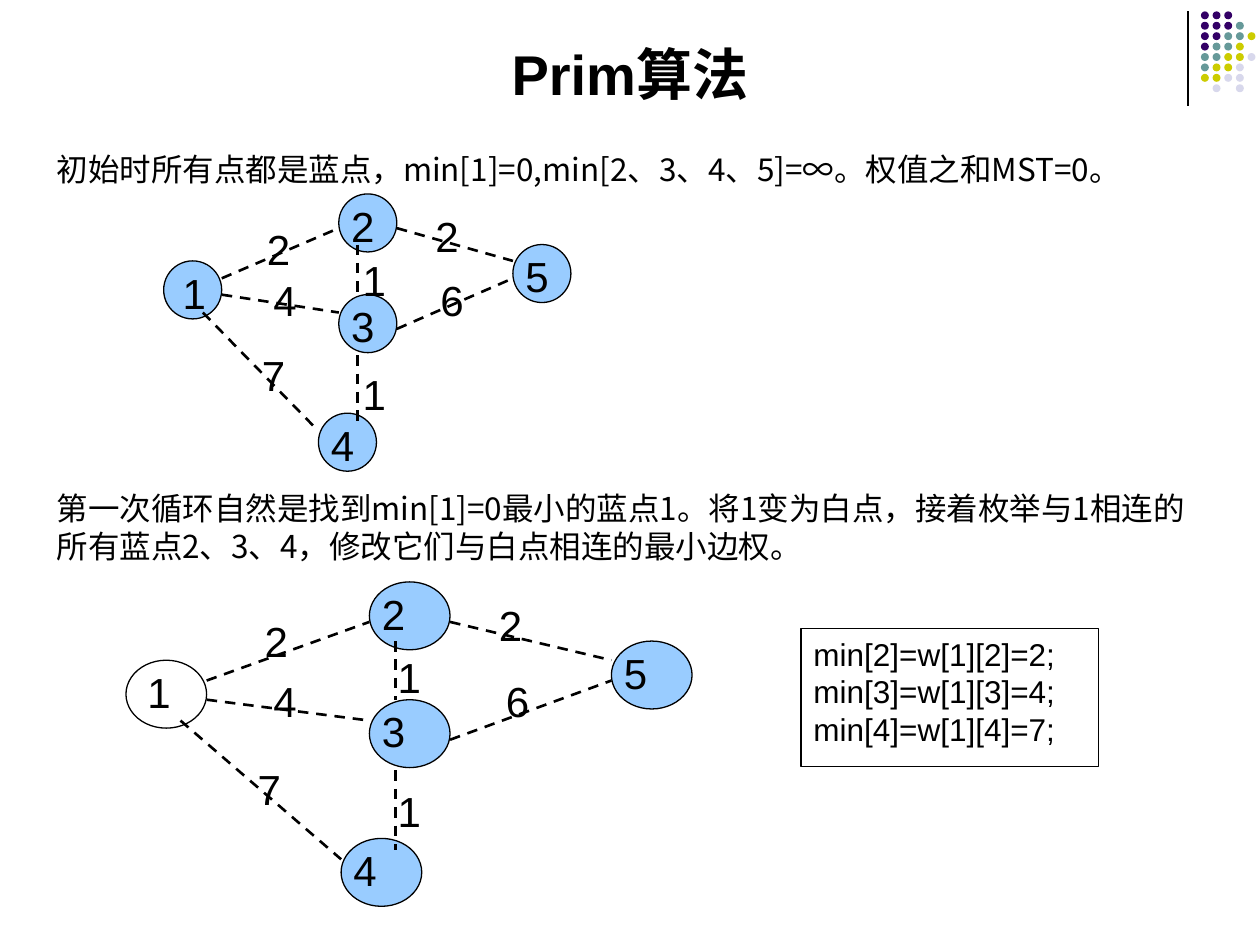
from lxml import etree
from pptx import Presentation
from pptx.dml.color import RGBColor
from pptx.enum.dml import MSO_LINE_DASH_STYLE as Dash
from pptx.enum.shapes import MSO_CONNECTOR as Link, MSO_SHAPE as Preset
from pptx.enum.text import MSO_ANCHOR as Anchor, PP_ALIGN as Align
from pptx.oxml.ns import qn
from pptx.util import Cm, Pt

COLORS = {
    "ink": "000000",
    "paper": "FFFFFF",
    "blue": "99CCFF",
    "purple": "330066",
    "teal": "669999",
    "olive": "CCCC00",
    "pale": "D8D8EC",
}
LATIN = "Arial"
HAN = "Noto Sans CJK SC"

DOT_COLORS = {"P": "purple", "T": "teal", "O": "olive", "L": "pale"}
DOT_ROWS = ["PPP", "PPPT", "PPTTO", "PTTO", "TTOOL", "TOOL", "OOLL", " L L"]

NODE_SIZE = 1.17
NODES = {
    "1": (0, 1.35),
    "2": (3.53, 0),
    "4": (3.12, 4.42),
    "3": (3.53, 2.03),
    "5": (7.04, 1.02),
}
NODE_LABELS = {
    "1": (0.13, 1.35, 0.79, 1.02),
    "2": (3.53, 0, 1.17, 1.02),
    "3": (3.53, 2.03, 1.17, 1.37),
    "4": (3.12, 4.42, 1.17, 1.37),
    "5": (7.04, 1.02, 1.17, 1.37),
}
EDGES = [
    ((1.17, 1.7, 3.53, 0.69), "2", (1.83, 0.48, 0.79, 1.02)),
    ((1.17, 2.03, 3.53, 2.39), "4", (1.96, 1.5, 0.79, 1.02)),
    ((0.79, 2.39, 3.12, 4.78), "7", (1.73, 3.02, 1.17, 1.02)),
    ((3.91, 1.02, 3.91, 2.03), "1", (3.76, 1.09, 0.79, 1.02)),
    ((3.91, 3.25, 3.91, 4.62), "1", (3.76, 3.4, 1.55, 1.37)),
    ((4.7, 2.72, 7.04, 1.7), "6", (5.33, 1.5, 0.79, 1.02)),
    ((4.7, 0.69, 7.04, 1.35), "2", (5.23, 0.2, 0.79, 1.02)),
]


class SlideBuilder:
    line_ratio = 1.2

    def __init__(self, slide):
        self.slide = slide

    def color(self, name):
        return RGBColor.from_string(COLORS[name])

    def fill_text(self, frame, lines, size, latin=LATIN, bold=False, align=Align.LEFT):
        frame.word_wrap = True
        for index, line in enumerate(lines):
            paragraph = frame.add_paragraph() if index else frame.paragraphs[0]
            paragraph.alignment = align
            paragraph.line_spacing = Pt(round(size * self.line_ratio, 1))
            run = paragraph.add_run()
            run.text = line
            run.font.size = Pt(size)
            run.font.bold = bold
            run.font.color.rgb = self.color("ink")
            run.font.name = latin
            east_asian = etree.SubElement(run.font._element, qn("a:ea"))
            east_asian.set("typeface", HAN)

    def text(self, box, lines, size, anchor=Anchor.TOP, bottom=0.13, **style):
        frame = self.slide.shapes.add_textbox(*map(Cm, box)).text_frame
        frame.vertical_anchor = anchor
        frame.margin_bottom = Cm(bottom)
        self.fill_text(frame, lines, size, **style)

    def shape(self, preset, box, fill=None, outlined=True):
        shape = self.slide.shapes.add_shape(preset, *map(Cm, box))
        shape.shadow.inherit = False
        if fill:
            shape.fill.solid()
            shape.fill.fore_color.rgb = self.color(fill)
        else:
            shape.fill.background()
        if outlined:
            shape.line.color.rgb = self.color("ink")
            shape.line.width = Pt(0.75)
        else:
            shape.line.fill.background()
        return shape

    def line(self, ends, width, dash=None):
        line = self.slide.shapes.add_connector(Link.STRAIGHT, *map(Cm, ends))
        line.line.color.rgb = self.color("ink")
        line.line.width = Pt(width)
        line.line.dash_style = dash
        etree.SubElement(line._element.spPr, qn("a:effectLst"))

    def code_box(self, box, lines):
        frame = self.shape(Preset.RECTANGLE, box, "paper").text_frame
        frame.vertical_anchor = Anchor.TOP
        self.fill_text(frame, lines, 18)

    def corner_dots(self, left, top):
        self.line((23.95, 0.23, 23.95, 2.13), 0.75)
        for row, marks in enumerate(DOT_ROWS):
            for column, mark in enumerate(marks):
                if mark in DOT_COLORS:
                    box = (left + column * 0.235, top + row * 0.21, 0.16, 0.16)
                    self.shape(Preset.OVAL, box, DOT_COLORS[mark], outlined=False)

    def graph(self, left, top, scale_x=1, scale_y=1, white_nodes=()):
        def scaled(x, y, width, height):
            return (left + x * scale_x, top + y * scale_y,
                    width * scale_x, height * scale_y)

        for node, (x, y) in NODES.items():
            fill = None if node in white_nodes else "blue"
            self.shape(Preset.OVAL, scaled(x, y, NODE_SIZE, NODE_SIZE), fill)
        for (x1, y1, x2, y2), _, _ in EDGES:
            ends = scaled(x1, y1, 0, 0)[:2] + scaled(x2, y2, 0, 0)[:2]
            self.line(ends, 1.5, Dash.DASH)
        for node, box in NODE_LABELS.items():
            self.text(scaled(*box), [node], 24)
        for _, weight, box in EDGES:
            self.text(scaled(*box), [weight], 24)


def main():
    deck = Presentation()
    deck.slide_width, deck.slide_height = Cm(25.4), Cm(19.05)
    builder = SlideBuilder(deck.slides.add_slide(deck.slide_layouts[6]))

    builder.corner_dots(24.21, 0.23)
    builder.text((1.27, 0.53, 22.86, 1.63), ["Prim算法"], 32,
                 anchor=Anchor.BOTTOM, bottom=0, bold=True, align=Align.CENTER)
    builder.text((0.89, 2.13, 23.62, 1.78),
                 ["初始时所有点都是蓝点，min[1]=0,min[2、3、4、5]=∞。权值之和MST=0。"],
                 18, anchor=Anchor.BOTTOM, latin=HAN)
    builder.graph(3.3, 3.91)
    builder.text((0.89, 9.73, 23.67, 1.78),
                 ["第一次循环自然是找到min[1]=0最小的蓝点1。将1变为白点，接着枚举与1相连的"
                  "所有蓝点2、3、4，修改它们与白点相连的最小边权。"],
                 18, latin=HAN)
    builder.graph(2.54, 11.73, 1.39, 1.17, white_nodes=("1",))
    builder.code_box((16.15, 12.67, 5.99, 2.79),
                     [f"min[{node}]=w[1][{node}]={weight};"
                      for node, weight in ((2, 2), (3, 4), (4, 7))])

    deck.save("out.pptx")


if __name__ == "__main__":
    main()
